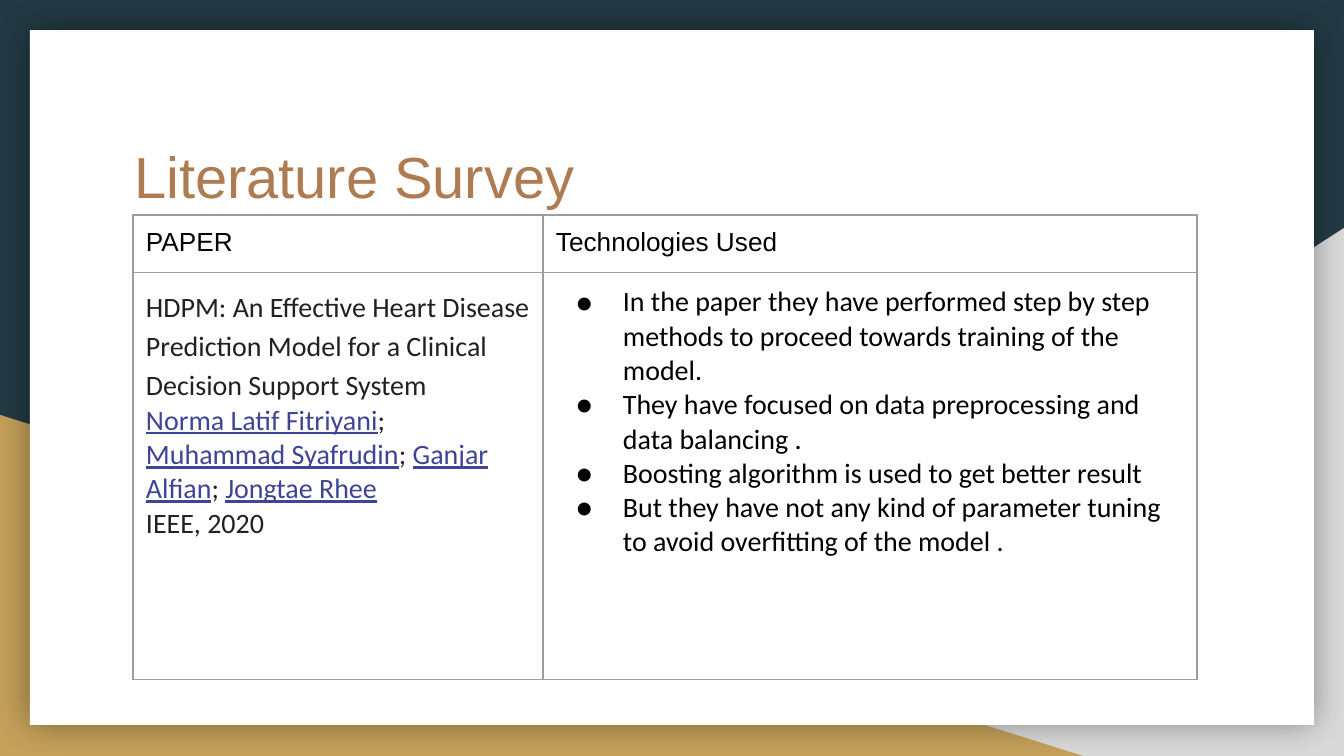
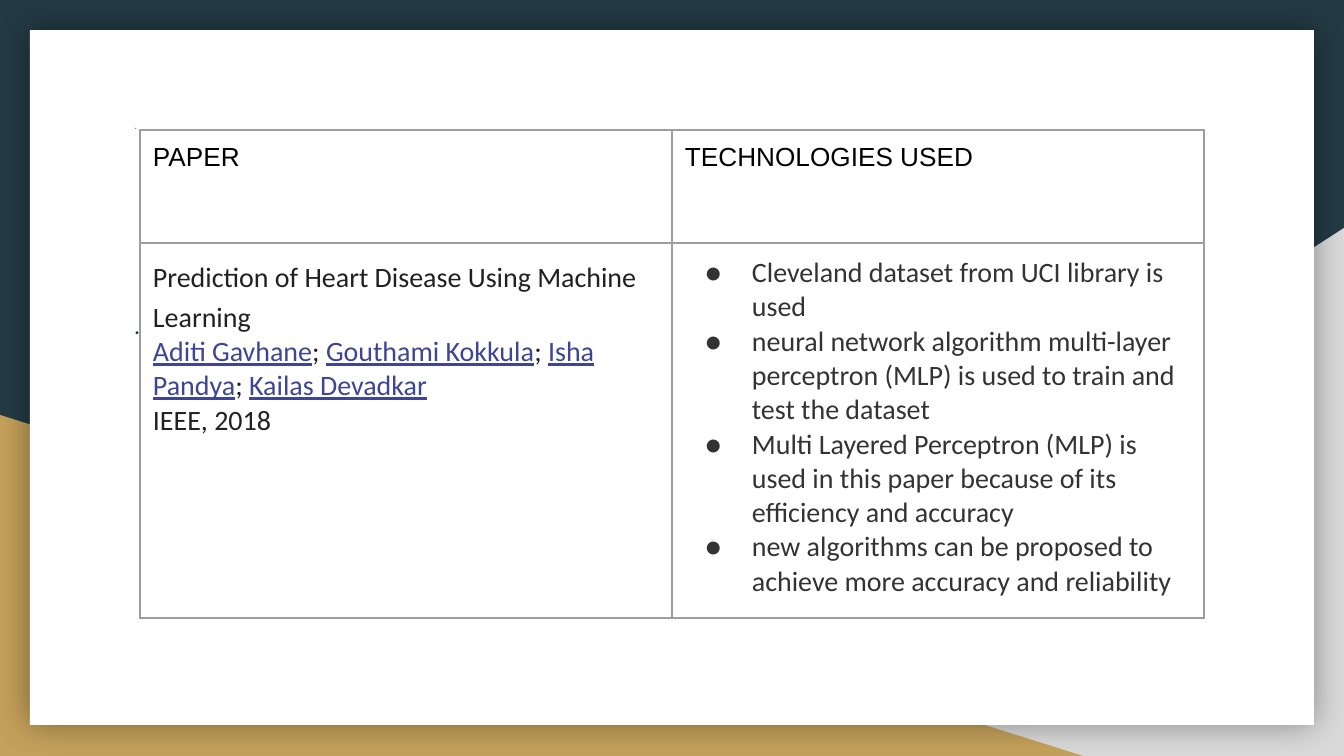
from lxml.etree import SubElement
from pptx import Presentation
from pptx.dml.color import RGBColor
from pptx.enum.shapes import MSO_SHAPE
from pptx.oxml.ns import qn
from pptx.util import Emu, Pt

EMU_PER_PX = 914400 / 134.4
INSET = 13
COLORS = {
    "navy": "233A44", "gold": "C4A15A", "grey": "D9D9D9", "white": "FFFFFF",
    "title": "AF7B51", "border": "9E9E9E", "black": "000000",
    "ink": "212121", "link": "3D4594", "soft": "333333",
}


def px(n):
    """Turn pixels into EMU."""
    return Emu(round(n * EMU_PER_PX))


def rgb(name):
    """Look up a palette colour."""
    return RGBColor.from_string(COLORS[name])


def add_xml(parent, tag, **attrs):
    """Append a DrawingML element and return it."""
    return SubElement(parent, qn(tag), {k: str(v) for k, v in attrs.items()})


def add_paragraph(tf, spacing=None, after=None, bullet=None):
    """Return the next paragraph, bulleted in the colour named by bullet."""
    p = tf.paragraphs[0]
    if p.runs:
        p = tf.add_paragraph()
    if bullet:
        pPr = p._p.get_or_add_pPr()
        pPr.set("marL", str(px(67)))
        pPr.set("indent", str(px(-47)))
        add_xml(add_xml(pPr, "a:buClr"), "a:srgbClr", val=COLORS[bullet])
        add_xml(pPr, "a:buFont", typeface="Calibri")
        add_xml(pPr, "a:buChar", char="●")
    if spacing:
        p.line_spacing = spacing
    if after:
        p.space_after = Pt(after)
    return p


def add_text(p, text, size=15, font="Calibri", color="ink", underline=False):
    """Append one formatted run to a paragraph."""
    r = p.add_run()
    r.text = text
    r.font.size = Pt(size)
    r.font.name = font
    r.font.color.rgb = rgb(color)
    r.font.underline = underline


def add_box(s, x, y, w, h, text, top=INSET, spacing=None, after=None, **fmt):
    """Add a wrapped text box holding one paragraph."""
    tf = s.shapes.add_textbox(px(x), px(y), px(w), px(h)).text_frame
    tf.word_wrap = True
    tf.margin_left = tf.margin_right = tf.margin_bottom = px(INSET)
    tf.margin_top = px(top)
    add_text(add_paragraph(tf, spacing, after), text, **fmt)


def add_shape(s, kind, x, y, w, h, color):
    """Add a flat filled shape without an outline."""
    sp = s.shapes.add_shape(kind, px(x), px(y), px(w), px(h))
    sp.shadow.inherit = False
    sp.fill.solid()
    sp.fill.fore_color.rgb = rgb(color)
    sp.line.fill.background()
    return sp


def add_base_slide(prs):
    """Add a slide with the corner triangles and the shadowed card."""
    s = prs.slides.add_slide(prs.slide_layouts[6])
    s.background.fill.solid()
    s.background.fill.fore_color.rgb = rgb("navy")
    corner = add_shape(s, MSO_SHAPE.RIGHT_TRIANGLE, 527, 228, 817, 528, "grey")
    corner._element.spPr.find(qn("a:xfrm")).set("flipH", "1")
    add_shape(s, MSO_SHAPE.RIGHT_TRIANGLE, 0, 415, 1083, 341, "gold")
    card = add_shape(s, MSO_SHAPE.RECTANGLE, 30, 30, 1284, 695, "white")
    effects = card._element.spPr.find(qn("a:effectLst"))
    shadow = add_xml(effects, "a:outerShdw", blurRad=Pt(18), dist=0, dir=0,
                     algn="ctr", rotWithShape=0)
    tint = add_xml(shadow, "a:srgbClr", val=COLORS["black"])
    add_xml(tint, "a:alpha", val=40000)
    return s


def format_cell(cell):
    """Give a cell thin borders, no fill and even insets."""
    tcPr = cell._tc.get_or_add_tcPr()
    for side in ("L", "R", "T", "B"):
        ln = add_xml(tcPr, f"a:ln{side}", w=Pt(0.75))
        add_xml(add_xml(ln, "a:solidFill"), "a:srgbClr", val=COLORS["border"])
    cell.fill.background()
    cell.margin_left = cell.margin_right = px(INSET)
    cell.margin_top = cell.margin_bottom = px(INSET)


def add_citation(tf, paper, authors, source):
    """Write the paper's name, its underlined authors and its source."""
    add_text(add_paragraph(tf, spacing=1.15), paper)
    p = add_paragraph(tf)
    for i, author in enumerate(authors):
        if i:
            add_text(p, "; ")
        add_text(p, author, color="link", underline=True)
    add_text(add_paragraph(tf), source)


def add_survey_table(s, x, y, cols, rows, heads, citation, points, color):
    """Add a table with the cited paper beside its bulleted points."""
    frame = s.shapes.add_table(len(rows), len(cols), px(x), px(y),
                               px(sum(cols)), px(sum(rows)))
    table = frame.table
    table.first_row = table.horz_banding = False
    for col, w in zip(table.columns, cols):
        col.width = px(w)
    for row, h in zip(table.rows, rows):
        row.height = px(h)
    for cell in table.iter_cells():
        format_cell(cell)
    for i, head in enumerate(heads):
        p = add_paragraph(table.cell(0, i).text_frame)
        add_text(p, head, size=14, font="Arial", color="black")
    add_citation(table.cell(1, 0).text_frame, *citation)
    for point in points:
        p = add_paragraph(table.cell(1, 1).text_frame, bullet=color)
        add_text(p, point, color=color)


def add_hdpm_slide(prs):
    """Build the titled survey slide."""
    s = add_base_slide(prs)
    add_box(s, 121, 123, 1103, 140, "Literature Survey", top=18,
            size=31, font="Arial", color="title")
    add_survey_table(
        s, 133, 215, (410, 654), (57, 407), ("PAPER", "Technologies Used"),
        ("HDPM: An Effective Heart Disease Prediction Model for a "
         "Clinical Decision Support System",
         ("Norma Latif Fitriyani", "Muhammad Syafrudin", "Ganjar Alfian",
          "Jongtae Rhee"),
         "IEEE, 2020"),
        ("In the paper they have performed step by step methods to proceed "
         "towards training of the model.",
         "They have focused on data preprocessing and data balancing .",
         "Boosting algorithm is used to get better result",
         "But they have not any kind of parameter tuning to avoid "
         "overfitting of the model ."),
        "black")


def add_machine_learning_slide(prs):
    """Build the second survey slide."""
    s = add_base_slide(prs)
    add_box(s, 121, 123, 1103, 7, ".", top=3, size=6,
            font="League Spartan", color="title")
    add_box(s, 121, 293, 1103, 360, ".", spacing=1.15, after=12, size=13,
            color="navy")
    add_survey_table(
        s, 140, 130, (532, 532), (113, 375), ("PAPER", "TECHNOLOGIES USED"),
        ("Prediction of Heart Disease Using Machine Learning",
         ("Aditi Gavhane", "Gouthami Kokkula", "Isha Pandya",
          "Kailas Devadkar"),
         "IEEE, 2018"),
        ("Cleveland dataset from UCI library is used",
         "neural network algorithm multi-layer perceptron (MLP) is used to "
         "train and test the dataset",
         "Multi Layered Perceptron (MLP) is used in this paper because of "
         "its efficiency and accuracy",
         "new algorithms can be proposed to achieve more accuracy and "
         "reliability"),
        "soft")


def main():
    """Build and save the deck."""
    prs = Presentation()
    prs.slide_width, prs.slide_height = px(1344), px(756)
    add_hdpm_slide(prs)
    add_machine_learning_slide(prs)
    prs.save("out.pptx")


if __name__ == "__main__":
    main()
